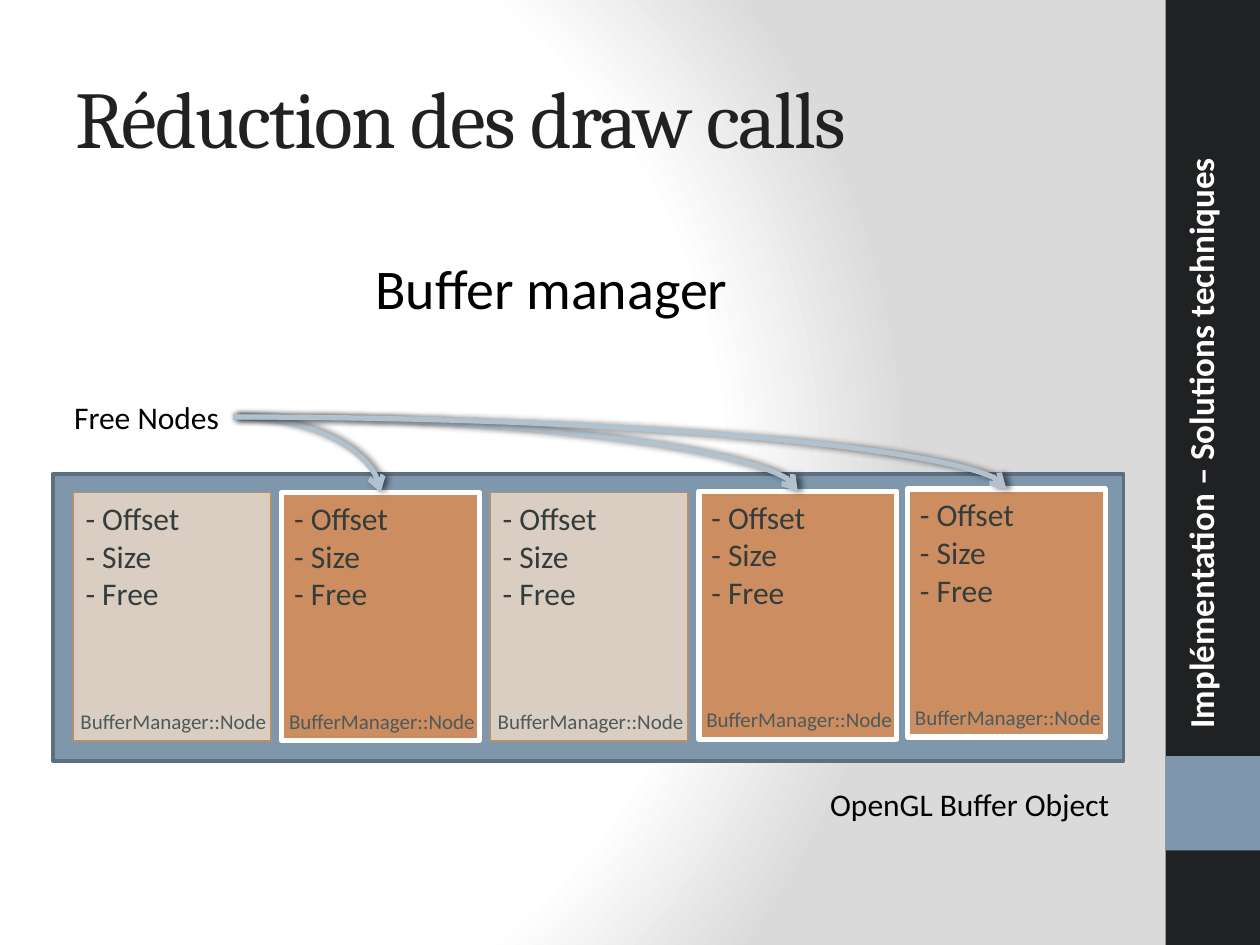
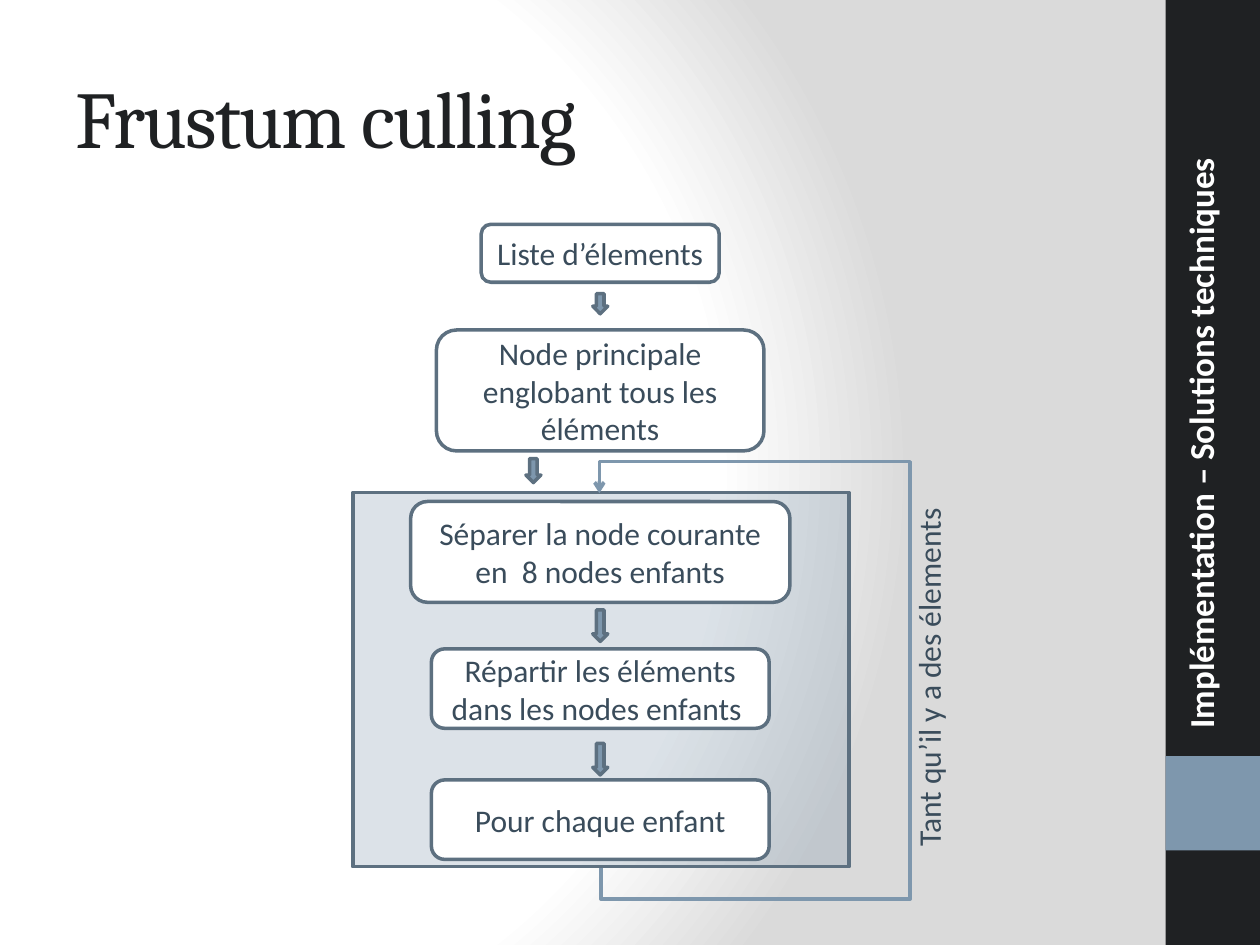
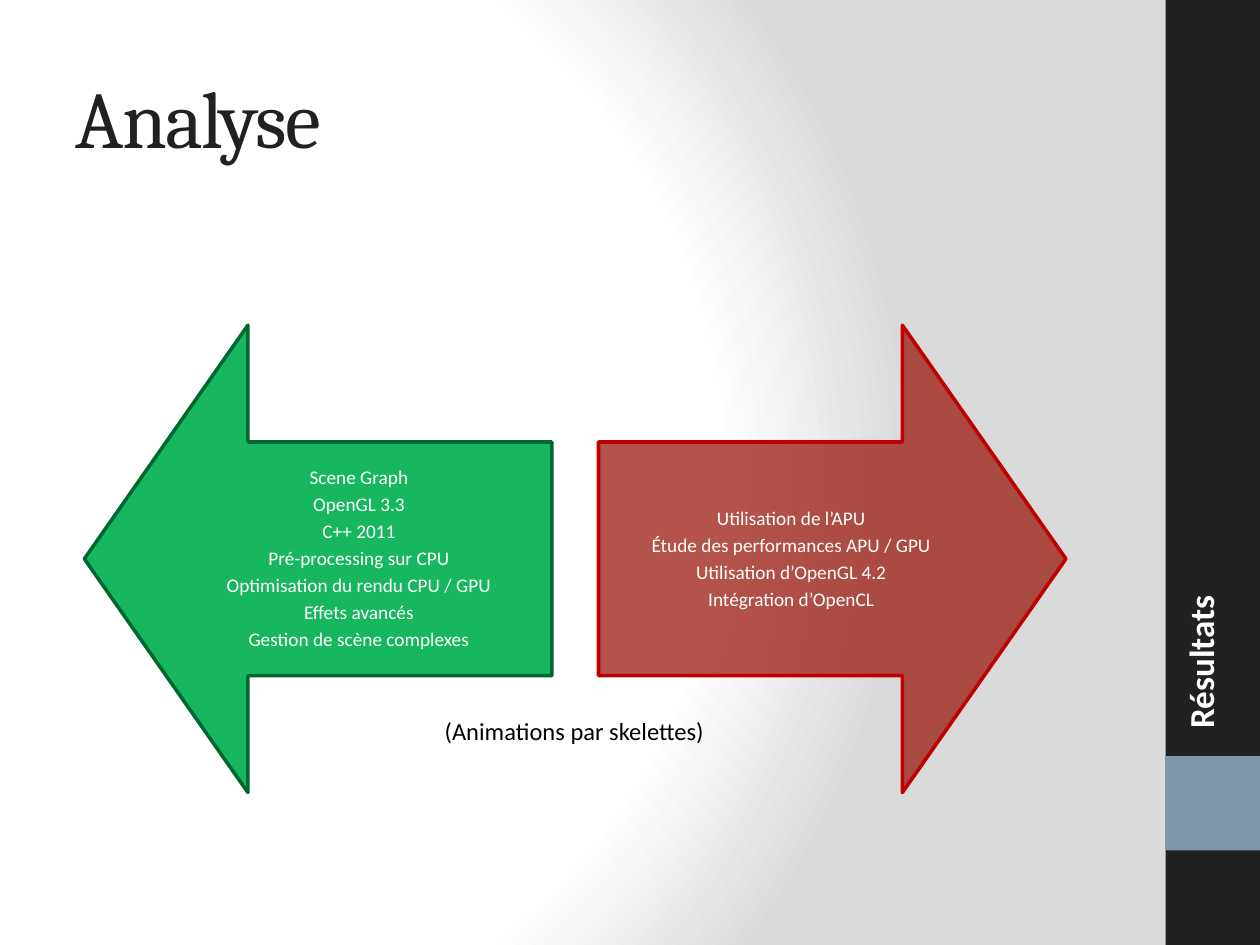
import pptx
import pptx.dml.color
import pptx.enum.shapes
import pptx.enum.text
import pptx.oxml
import pptx.oxml.ns
import pptx.util
from lxml import etree

Pt = pptx.util.Pt
rgb = pptx.dml.color.RGBColor.from_string
qn = pptx.oxml.ns.qn
FORM = pptx.enum.shapes.MSO_SHAPE
JOIN = pptx.enum.shapes.MSO_CONNECTOR
ALIGN = pptx.enum.text.PP_ALIGN
ANCHOR = pptx.enum.text.MSO_ANCHOR

COLORS = {
    "white": "FFFFFF", "grey": "DADADA", "black": "000000", "dark": "1F2123",
    "blue": "7E97AD", "edge": "5D7080", "pale": "B2C1CE", "slate": "3A4C5B",
    "sand": "DACDC1", "tan": "B29069", "orange": "CC8E60",
    "ink": "343C3D", "dim": "4D5A5C",
    "green": "00B050", "forest": "00682F", "brick": "98140A", "red": "C00000",
}
NS = 'xmlns:a="http://schemas.openxmlformats.org/drawingml/2006/main"'
GLOW = f"""<a:gradFill {NS} rotWithShape="1"><a:gsLst>
<a:gs pos="0"><a:srgbClr val="{COLORS['white']}"/></a:gs>
<a:gs pos="75000"><a:srgbClr val="{COLORS['white']}"/></a:gs>
<a:gs pos="100000"><a:srgbClr val="{COLORS['grey']}"/></a:gs></a:gsLst>
<a:path path="circle"><a:fillToRect l="20000" t="50000" r="100000" b="50000"/></a:path>
</a:gradFill>"""
SHADE = f"""<a:effectLst {NS}><a:outerShdw blurRad="50800" dist="25400" dir="0">
<a:srgbClr val="{COLORS['black']}"><a:alpha val="60000"/></a:srgbClr>
</a:outerShdw></a:effectLst>"""


def box(slide, form, at, fill, line=None, width=2, alpha=100):
    """Add a preset shape; at is left, top, width, height in points."""
    shape = slide.shapes.add_shape(form, *map(Pt, at))
    shape.shadow.inherit = False
    shape.fill.solid()
    shape.fill.fore_color.rgb = rgb(COLORS[fill])
    if alpha < 100:
        tint = shape.element.spPr.find(qn("a:solidFill"))[0]
        etree.SubElement(tint, qn("a:alpha"), val=str(alpha * 1000))
    if line:
        shape.line.color.rgb = rgb(COLORS[line])
        shape.line.width = Pt(width)
    else:
        shape.line.fill.background()
    return shape


def write(shape, text, size, color, align=ALIGN.LEFT, anchor=ANCHOR.TOP,
          wrap=True, font="Calibri", bold=False):
    frame = shape.text_frame
    frame.text = text
    frame.word_wrap = wrap
    frame.vertical_anchor = anchor
    if not wrap:
        frame.auto_size = pptx.enum.text.MSO_AUTO_SIZE.SHAPE_TO_FIT_TEXT
    for para in frame.paragraphs:
        para.alignment = align
        for run in para.runs:
            run.font.name = font
            run.font.size = Pt(size)
            run.font.bold = bold
            run.font.color.rgb = rgb(COLORS[color])
    return frame


deck = pptx.Presentation()
deck.slide_width, deck.slide_height = Pt(720), Pt(540)
back = deck.slide_master.background.fill
back.gradient()
grad = deck.slide_master.element.find(".//" + qn("a:gradFill"))
grad.getparent().replace(grad, pptx.oxml.parse_xml(GLOW))

# Titles, side bands and section names
slides = []
for name, part in [
    ("Réduction des draw calls", "Implémentation – Solutions techniques"),
    ("Frustum culling", "Implémentation – Solutions techniques"),
    ("Analyse", "Résultats"),
]:
    slide = deck.slides.add_slide(deck.slide_layouts[5])
    slides.append(slide)
    title = slide.shapes.title
    title.left, title.top, title.width, title.height = map(Pt, (36, 21.6, 600, 90))
    frame = write(title, name, 46, "dark", anchor=ANCHOR.MIDDLE, font="Cambria")
    frame.paragraphs[0].runs[0].font._element.set("spc", "-100")
    box(slide, FORM.RECTANGLE, (666, 0, 54, 540), "dark")
    box(slide, FORM.RECTANGLE, (666, 432, 54, 54), "blue")
    side = slide.shapes.add_textbox(*map(Pt, (670.3, 0, 38.9, 423.4)))
    write(side, part, 20, "white", bold=True)
    side.text_frame._txBody.bodyPr.set("vert", "vert270")

pool, cull, sums = slides
links = []

# Buffer manager
box(pool, FORM.RECTANGLE, (30.2, 270.7, 612, 164.2), "blue", "edge")
for text, size, at in [
    ("Buffer manager", 32, (207.4, 122.4, 218.2, 59.8)),
    ("OpenGL Buffer Object", 18, (467.3, 445, 176.4, 28.8)),
    ("Free Nodes", 18, (35.3, 223.9, 98.6, 28.8)),
]:
    label = pool.shapes.add_textbox(*map(Pt, at))
    frame = write(label, text, size, "black", wrap=False)
    if size == 32:
        frame.paragraphs[0].line_spacing = 1.5

ends = []
for step, (top, free) in enumerate([
    (281.5, False), (281.5, True), (281.5, False), (280.8, True), (279.4, True),
]):
    left = 41.8 + 119.2 * step
    look = ("orange", "white", 3) if free else ("sand", "tan", 1)
    node = box(pool, FORM.RECTANGLE, (left, top, 113, 141.8), *look)
    write(node, "- Offset\n- Size\n- Free", 18, "ink")
    label = pool.shapes.add_textbox(*map(Pt, (left - 2.9, top + 119.6, 121.7, 21.6)))
    write(label, "BufferManager::Node", 12, "dim", wrap=False)
    if free:
        ends.append((left + 56.5, top))

for end in ends:
    link = pool.shapes.add_connector(JOIN.CURVE, *map(Pt, (133.2, 238.3, *end)))
    link.element.spPr.prstGeom.set("prst", "curvedConnector2")
    links.append((link, "pale", 3, SHADE))

# Frustum culling
mid = 343
box(cull, FORM.RECTANGLE, (201.6, 281.5, 283.7, 213.8), "blue", "edge", alpha=27)
for text, top, width, height in [
    ("Liste d’élements", 128.2, 136, 33.1),
    ("Node principale englobant tous les éléments", 188.6, 187.2, 69.1),
    ("Séparer la node courante en  8 nodes enfants", 286.6, 216.7, 57.6),
    ("Répartir les éléments dans les nodes enfants ", 370.8, 193, 45.4),
    ("Pour chaque enfant", 445.7, 193, 45.4),
]:
    stage = box(cull, FORM.ROUNDED_RECTANGLE, (mid - width / 2, top, width, height),
                "white", "edge")
    write(stage, text, 18, "slate", ALIGN.CENTER, ANCHOR.MIDDLE)
for x, top, height in [
    (mid, 167.8, 11.5), (304.8, 262.1, 13.7), (mid, 348.5, 18), (mid, 424.8, 18),
]:
    box(cull, FORM.DOWN_ARROW, (x - 4.3, top, 8.6, height), "blue", "edge")

# The loop runs from the foot of the frame, round its right side, to its top
loop = cull.shapes.add_connector(
    JOIN.ELBOW, *map(Pt, (mid + 107, 388.3, mid - 107, 389.3)))
loop.element.spPr.find(qn("a:xfrm")).set("rot", "5400000")
shape = loop.element.spPr.prstGeom
shape.set("prst", "bentConnector5")
guides = shape.get_or_add_avLst()
for spot, value in enumerate((-8400, -17800000, 108400), 1):
    etree.SubElement(guides, qn("a:gd"), name=f"adj{spot}", fmla=f"val {value}")
links.append((loop, "blue", 2, f"<a:effectLst {NS}/>"))

label = cull.shapes.add_textbox(*map(Pt, (516.2, 266.4, 36, 224.6)))
write(label, "Tant qu’il y a des élements", 18, "slate")
label.text_frame._txBody.bodyPr.set("vert", "vert270")

for link, color, width, shade in links:
    link.line.color.rgb = rgb(COLORS[color])
    link.line.width = Pt(width)
    props = link.element.spPr
    etree.SubElement(props.find(qn("a:ln")), qn("a:tailEnd"), type="arrow")
    props.append(pptx.oxml.parse_xml(shade))

# Results
done = """Scene Graph
OpenGL 3.3
C++ 2011
Pré-processing sur CPU
Optimisation du rendu CPU / GPU
Effets avancés
Gestion de scène complexes"""
left_out = """Utilisation de l’APU
Étude des performances APU / GPU
Utilisation d’OpenGL 4.2
Intégration d’OpenCL"""
for text, left, inner, turn, look in [
    (done, 48.2, 95, 270, ("green", "forest", 2, 91)),
    (left_out, 342, 342, 90, ("brick", "red", 2, 73)),
]:
    arrow = box(sums, FORM.UP_ARROW, (left, 185.8, 267.1, 267.1), *look)
    arrow.rotation = turn
    arrow.adjustments[0], arrow.adjustments[1] = 0.5, 0.35
    label = sums.shapes.add_textbox(*map(Pt, (inner, 252.7, 220.3, 133.9)))
    frame = write(label, text, 11, "white", ALIGN.CENTER, ANCHOR.MIDDLE)
    for para in frame.paragraphs:
        para.line_spacing = 0.9
        para.space_after = Pt(3.6)
label = sums.shapes.add_textbox(*map(Pt, (247, 405.4, 187.2, 24.5)))
write(label, "(Animations par skelettes)", 14, "black")

deck.save("out.pptx")
